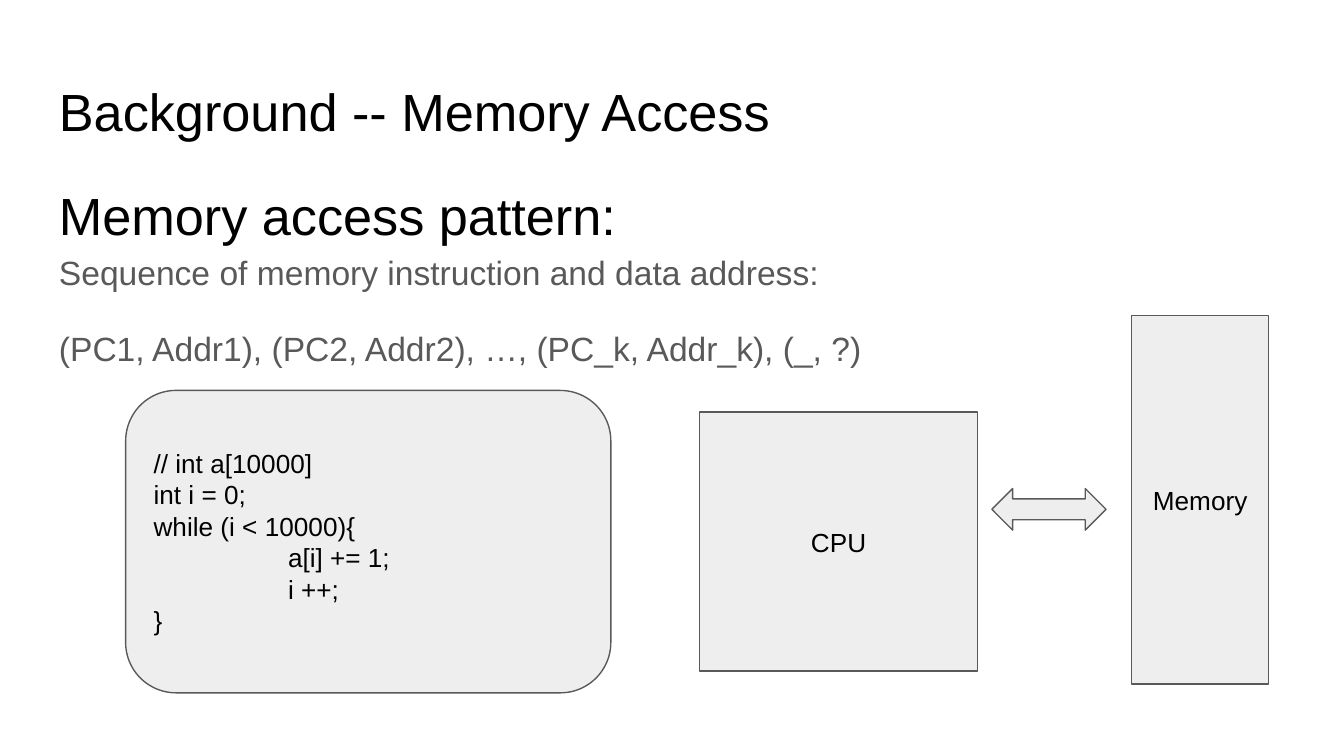
from pptx import Presentation
from pptx.dml.color import RGBColor
from pptx.enum.shapes import MSO_SHAPE
from pptx.enum.text import MSO_ANCHOR, PP_ALIGN
from pptx.util import Pt

PX = 4572
INSET = 20
INDENT = 100
FONT = "Arial"
BLACK, GREY, PALE = "000000", "595959", "EEEEEE"
RECTANGLE = MSO_SHAPE.RECTANGLE
ROUNDED = MSO_SHAPE.ROUNDED_RECTANGLE
DOUBLE_ARROW = MSO_SHAPE.LEFT_RIGHT_ARROW
MIDDLE, TOP = MSO_ANCHOR.MIDDLE, MSO_ANCHOR.TOP
LEFT, CENTER = PP_ALIGN.LEFT, PP_ALIGN.CENTER

CODE = [
    "// int a[10000]",
    "int i = 0;",
    "while (i < 10000){",
    "\ta[i] += 1;",
    "\ti ++;",
    "}",
]


def px(*lengths):
    return [length * PX for length in lengths]


def color(hex_string):
    return RGBColor.from_string(hex_string)


def style(paragraph, size, ink):
    paragraph.font.name = FONT
    paragraph.font.size = Pt(size)
    paragraph.font.color.rgb = color(ink)


def write(frame, lines, size, ink=BLACK, align=LEFT, anchor=TOP):
    frame.word_wrap = True
    frame.vertical_anchor = anchor
    frame.margin_left = frame.margin_right = INSET * PX
    frame.margin_top = frame.margin_bottom = INSET * PX
    for index, line in enumerate(lines):
        paragraph = frame.add_paragraph() if index else frame.paragraphs[0]
        paragraph.text = line
        paragraph.alignment = align
        style(paragraph, size, ink)


def add_block(slide, kind, left, top, width, height):
    block = slide.shapes.add_shape(kind, *px(left, top, width, height))
    block.shadow.inherit = False
    block.fill.solid()
    block.fill.fore_color.rgb = color(PALE)
    block.line.color.rgb = color(GREY)
    block.line.width = Pt(0.75)
    return block


def add_title(slide, left, top, width, height):
    title = slide.shapes.add_textbox(*px(left, top, width, height))
    write(title.text_frame, ["Background -- Memory Access"], 28)


def add_pattern(slide, left, top, width, height):
    pattern = slide.shapes.add_textbox(*px(left, top, width, height))
    write(pattern.text_frame, [
        "Memory access pattern:",
        "Sequence of memory instruction and data address:",
        "(PC1, Addr1), (PC2, Addr2), …, (PC_k, Addr_k), (_, ?)",
    ], 28)
    heading, description, sequence = pattern.text_frame.paragraphs
    for paragraph in (description, sequence):
        style(paragraph, 18, GREY)
        paragraph.line_spacing = 1.15
    sequence.space_before = Pt(16)


def add_machine(slide, left, top, width, height):
    cpu = add_block(slide, RECTANGLE, left, top + 143, 414, 386)
    write(cpu.text_frame, ["CPU"], 14, align=CENTER, anchor=MIDDLE)
    memory_width = 204
    memory = add_block(slide, RECTANGLE, left + width - memory_width, top,
                       memory_width, height)
    write(memory.text_frame, ["Memory"], 14, align=CENTER, anchor=MIDDLE)
    add_block(slide, DOUBLE_ARROW, left + 435, top + 257, 170, 62)


def add_code(slide, left, top, width, height):
    code = add_block(slide, ROUNDED, left, top, width, height)
    write(code.text_frame, CODE, 14, anchor=MIDDLE)
    for paragraph in code.text_frame.paragraphs:
        if paragraph.text.startswith("\t"):
            properties = paragraph._p.get_or_add_pPr()
            properties.set("marL", "0")
            properties.set("indent", str(INDENT * PX))


def main():
    deck = Presentation()
    deck.slide_width, deck.slide_height = px(2000, 1125)
    slide = deck.slides.add_slide(deck.slide_layouts[6])
    add_title(slide, 68, 98, 1864, 126)
    add_pattern(slide, 68, 253, 1864, 748)
    add_machine(slide, 1041, 470, 847, 548)
    add_code(slide, 187, 581, 722, 450)
    deck.save("out.pptx")


if __name__ == "__main__":
    main()
